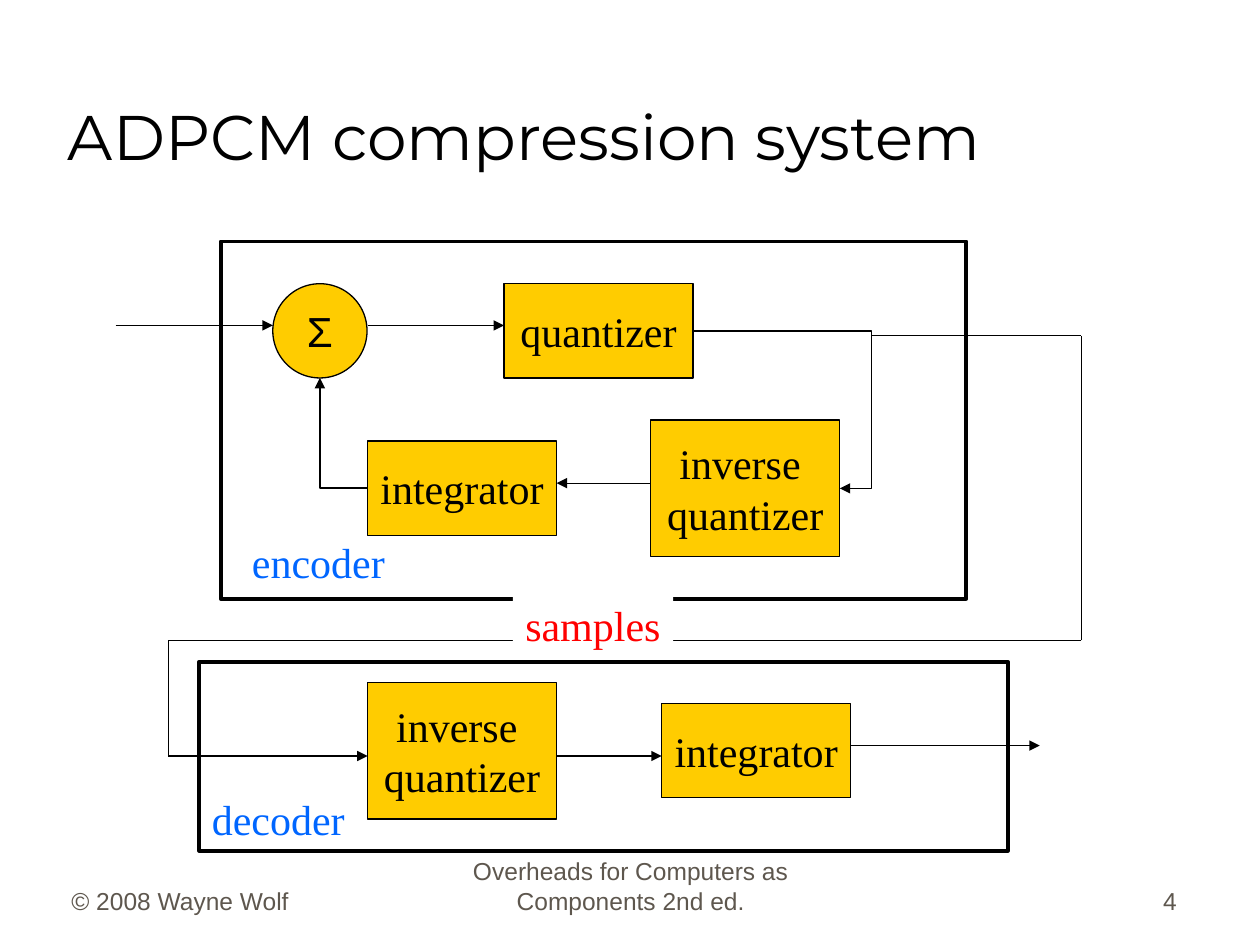
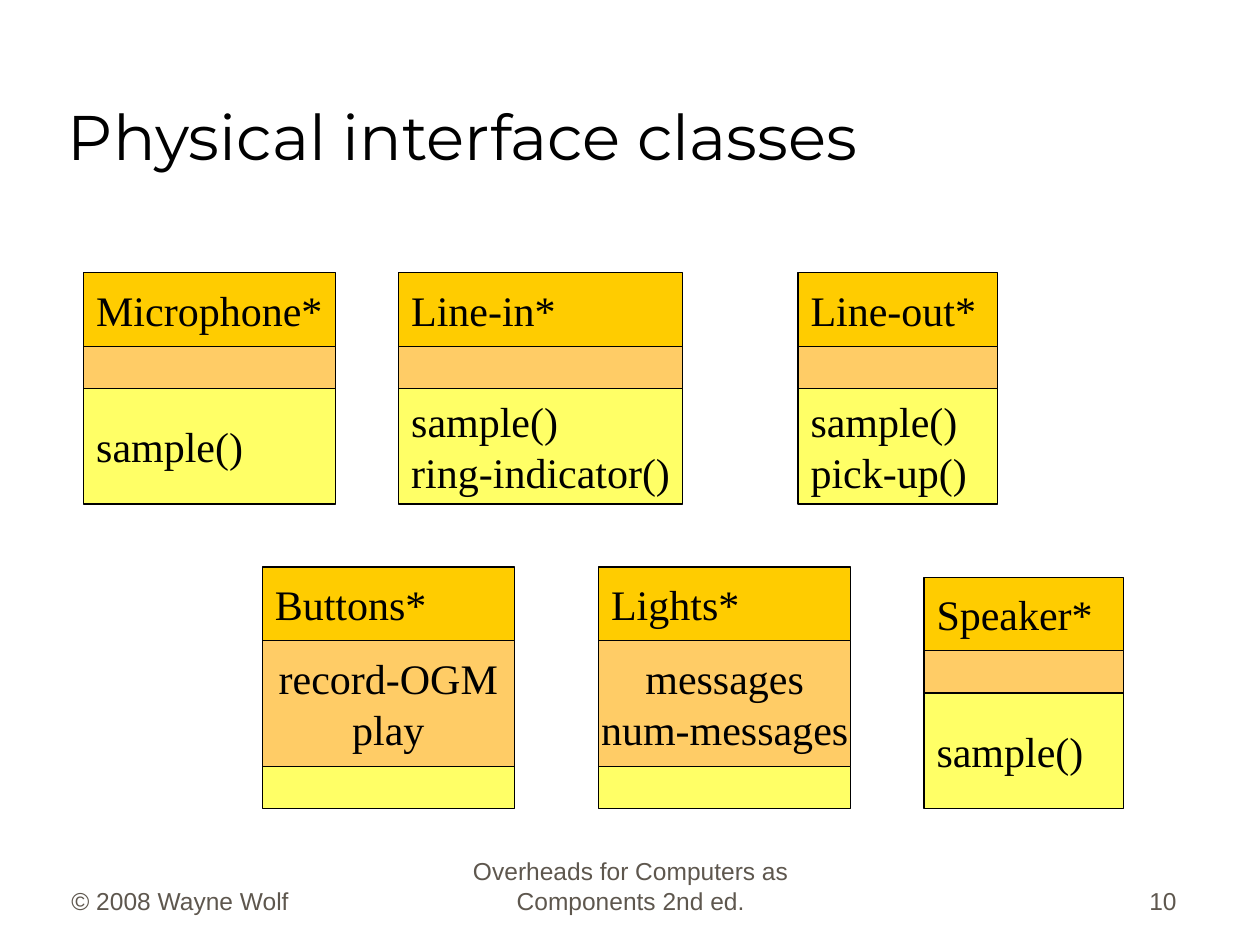
"""Builds two slides: an ADPCM block diagram and a set of interface classes."""
from dataclasses import dataclass
from itertools import pairwise

from lxml import etree
from pptx import Presentation
from pptx import util as u
from pptx.dml import color
from pptx.enum import shapes, text
from pptx.oxml import ns


@dataclass(frozen=True)
class Theme:
    ink: str = "000000"
    paper: str = "FFFFFF"
    muted: str = "5E574E"
    gold: str = "FFCC00"
    orange: str = "FFCC66"
    yellow: str = "FFFF66"
    blue: str = "0066FF"
    red: str = "FF0000"
    title_font: str = "Montserrat"
    body_font: str = "Times New Roman"
    plain_font: str = "Arial"
    title_size: int = 36
    body_size: int = 24
    footer_size: int = 14
    thin: float = 0.75
    thick: float = 2.25


LEFT, CENTER, RIGHT = text.PP_ALIGN.LEFT, text.PP_ALIGN.CENTER, text.PP_ALIGN.RIGHT
TOP, MIDDLE, BOTTOM = text.MSO_ANCHOR.TOP, text.MSO_ANCHOR.MIDDLE, text.MSO_ANCHOR.BOTTOM
SHAPE, LINE = shapes.MSO_SHAPE, shapes.MSO_CONNECTOR


class Painter:
    def __init__(self, deck, theme):
        self.deck = deck
        self.theme = theme
        self.page = None

    def new_page(self, title, number):
        theme = self.theme
        self.page = self.deck.slides.add_slide(self.deck.slide_layouts[6])
        self.label(title, (1.12, 0.64, 22.78, 2.97), theme.ink, theme.title_font,
                   theme.title_size, anchor=BOTTOM, wrap=True)
        footers = (
            ("© 2008 Wayne Wolf", 1.19, 5.28, LEFT),
            ("Overheads for Computers as Components 2nd ed.", 8.69, 8.05, CENTER),
            (str(number), 18.69, 5.28, RIGHT),
        )
        for words, left, width, align in footers:
            self.label(words, (left, 17.3, width, 1.27), theme.muted, theme.plain_font,
                       theme.footer_size, align, BOTTOM, wrap=True)

    def set_text(self, box, lines, ink, font, size, align, anchor, wrap):
        frame = box.text_frame
        frame.word_wrap = wrap
        frame.vertical_anchor = anchor
        for index, words in enumerate(lines):
            para = frame.add_paragraph() if index else frame.paragraphs[0]
            para.alignment = align
            span = para.add_run()
            span.text = words
            span.font.name = font
            span.font.size = u.Pt(size)
            span.font.color.rgb = color.RGBColor.from_string(ink)

    def label(self, words, place, ink, font=None, size=None, align=LEFT,
              anchor=TOP, wrap=False, fill=None):
        box = self.page.shapes.add_textbox(*map(u.Cm, place))
        if fill:
            box.fill.solid()
            box.fill.fore_color.rgb = color.RGBColor.from_string(fill)
        self.set_text(box, [words], ink, font or self.theme.body_font,
                      size or self.theme.body_size, align, anchor, wrap)
        if not wrap:
            box.text_frame.auto_size = text.MSO_AUTO_SIZE.SHAPE_TO_FIT_TEXT

    def block(self, lines, place, fill=None, align=CENTER, kind=SHAPE.RECTANGLE,
              font=None, weight=None):
        box = self.page.shapes.add_shape(kind, *map(u.Cm, place))
        box.shadow.inherit = False
        if fill:
            box.fill.solid()
            box.fill.fore_color.rgb = color.RGBColor.from_string(fill)
        else:
            box.fill.background()
        self.stroke(box, weight or self.theme.thin)
        self.set_text(box, lines, self.theme.ink, font or self.theme.body_font,
                      self.theme.body_size, align, MIDDLE, False)
        return box

    def frame(self, place):
        self.block([], place, weight=self.theme.thick)

    def stroke(self, item, weight):
        item.line.color.rgb = color.RGBColor.from_string(self.theme.ink)
        item.line.width = u.Pt(weight)

    def line(self, start, end, arrow=True, kind=LINE.STRAIGHT):
        link = self.page.shapes.add_connector(kind, *map(u.Cm, (*start, *end)))
        self.stroke(link, self.theme.thin)
        props = link._element.spPr
        if arrow:
            etree.SubElement(props.find(ns.qn("a:ln")), ns.qn("a:tailEnd"), type="triangle")
        etree.SubElement(props, ns.qn("a:effectLst"))
        return link

    def elbow(self, source, source_side, target, target_side, preset, bend=None):
        link = self.line((0, 0), (1, 1), kind=LINE.ELBOW)
        link.begin_connect(source, source_side)
        link.end_connect(target, target_side)
        if target.auto_shape_type == SHAPE.OVAL:
            joint = next(link._element.iter(ns.qn("a:endCxn")))
            joint.set("idx", str(target_side * 2))
        geometry = link._element.spPr.find(ns.qn("a:prstGeom"))
        geometry.set("prst", preset)
        if bend:
            guides = geometry.find(ns.qn("a:avLst"))
            if guides is None:
                guides = etree.SubElement(geometry, ns.qn("a:avLst"))
            etree.SubElement(guides, ns.qn("a:gd"), name="adj1", fmla=f"val {bend}")

    def route(self, points):
        legs = list(pairwise(points))
        for index, (start, end) in enumerate(legs, 1):
            self.line(start, end, arrow=index == len(legs))

    def class_box(self, left, top, width, name, attributes=(), operations=()):
        theme = self.theme
        parts = (
            ([name], 1.48, theme.gold, LEFT),
            (attributes, 2.54 if attributes else 0.85, theme.orange, CENTER),
            (operations, 2.33 if operations else 0.85, theme.yellow, LEFT),
        )
        for lines, height, fill, align in parts:
            self.block(lines, (left, top, width, height), fill, align)
            top += height


def compression_system(painter):
    theme = painter.theme
    painter.new_page("ADPCM compression system", 4)
    small, tall = (3.81, 1.9), (3.81, 2.75)
    inverse_lines = ["inverse ", "quantizer"]

    quantizer = painter.block(["quantizer"], (10.16, 5.72, *small), theme.gold)
    integrator = painter.block(["integrator"], (7.41, 8.89, *small), theme.gold)
    inverse = painter.block(inverse_lines, (13.12, 8.47, *tall), theme.gold)
    adder = painter.block(["Σ"], (5.5, 5.72, 1.9, 1.9), theme.gold,
                          kind=SHAPE.OVAL, font=theme.plain_font)
    painter.line((2.33, 6.56), (5.5, 6.56))
    painter.line((7.41, 6.56), (10.16, 6.56))
    painter.line((13.12, 9.74), (11.22, 9.74))
    painter.elbow(quantizer, 3, inverse, 3, "bentConnector3", 121400)
    painter.elbow(integrator, 1, adder, 2, "bentConnector2")
    painter.frame((4.45, 4.87, 15.03, 7.2))
    painter.label("encoder", (4.83, 10.69, 3.18, 1.27), theme.blue)

    painter.block(inverse_lines, (7.41, 13.76, *tall), theme.gold)
    painter.block(["integrator"], (13.34, 14.18, *small), theme.gold)
    painter.line((11.22, 15.24), (13.34, 15.24))
    painter.line((17.15, 15.03), (20.96, 15.03))
    painter.route([(17.57, 6.77), (21.8, 6.77), (21.8, 12.91),
                   (3.39, 12.91), (3.39, 15.24), (7.41, 15.24)])
    painter.frame((4.02, 13.34, 16.3, 3.81))
    painter.label("decoder", (4.02, 15.88, 3.18, 1.27), theme.blue)
    painter.label("samples", (10.34, 11.96, 3.23, 1.27), theme.red, fill=theme.paper)


def interface_classes(painter):
    painter.new_page("Physical interface classes", 10)
    upper, lower = 5.5, 11.43
    sample = "sample()"
    painter.class_box(16.09, upper, 4.02, "Line-out*", operations=[sample, "pick-up()"])
    painter.class_box(1.69, upper, 5.08, "Microphone*", operations=[sample])
    painter.class_box(8.04, upper, 5.72, "Line-in*", operations=[sample, "ring-indicator()"])
    painter.class_box(18.63, lower + 0.21, 4.02, "Speaker*", operations=[sample])
    painter.class_box(5.29, lower, 5.08, "Buttons*", ["record-OGM", "play"])
    painter.class_box(12.07, lower, 5.08, "Lights*", ["messages", "num-messages"])


def main():
    deck = Presentation()
    deck.slide_width, deck.slide_height = u.Cm(25.4), u.Cm(19.05)
    painter = Painter(deck, Theme())
    compression_system(painter)
    interface_classes(painter)
    deck.save("out.pptx")


if __name__ == "__main__":
    main()
